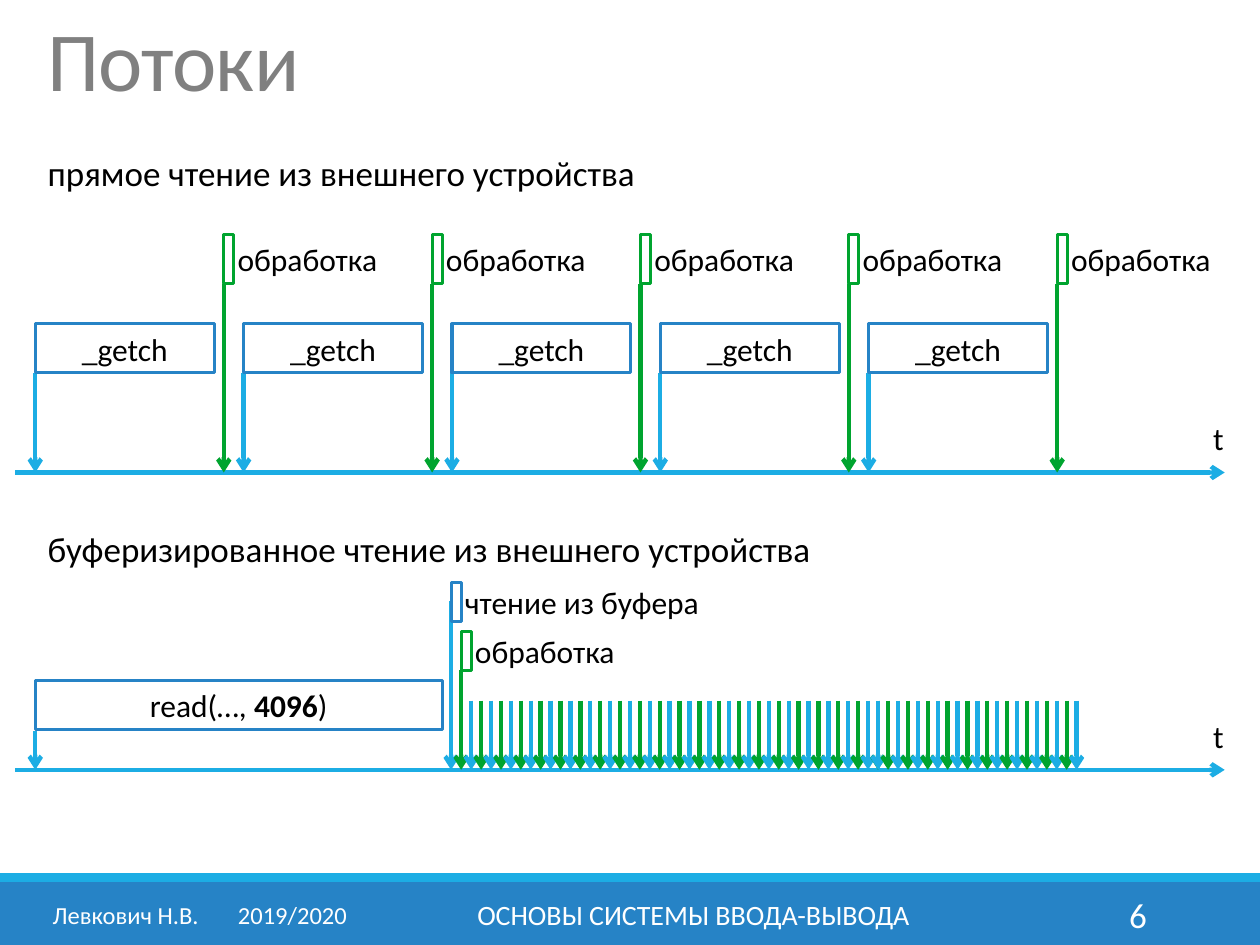
from lxml.etree import SubElement
from pptx import Presentation
from pptx.dml.color import RGBColor
from pptx.enum.shapes import MSO_CONNECTOR, MSO_SHAPE
from pptx.enum.text import MSO_ANCHOR, PP_ALIGN
from pptx.oxml.ns import qn
from pptx.util import Inches, Pt

BLACK = RGBColor(0x00, 0x00, 0x00)
WHITE = RGBColor(0xFF, 0xFF, 0xFF)
GRAY = RGBColor(0x80, 0x80, 0x80)
BLUE = RGBColor(0x26, 0x83, 0xC6)
CYAN = RGBColor(0x1C, 0xAD, 0xE4)
GREEN = RGBColor(0x00, 0xA4, 0x2F)

TICK = 2 / 25.4
CYCLE = 21 * TICK
START = 0.28
DIRECT_AXIS = 3.75
BUFFER_AXIS = 6.11


def set_font(p, size, color=BLACK):
    p.font.name = "Calibri"
    p.font.size = Pt(size)
    p.font.color.rgb = color


def add_text(slide, text, x, y, w, h, size, color=BLACK,
             align=PP_ALIGN.LEFT, anchor=MSO_ANCHOR.TOP):
    tf = slide.shapes.add_textbox(Inches(x), Inches(y), Inches(w), Inches(h)).text_frame
    tf.word_wrap = True
    tf.vertical_anchor = anchor
    p = tf.paragraphs[0]
    p.alignment = align
    p.add_run().text = text
    set_font(p, size, color)
    return p


def add_box(slide, x, y, w, h, line=None, fill=None):
    sp = slide.shapes.add_shape(
        MSO_SHAPE.RECTANGLE, Inches(x), Inches(y), Inches(w), Inches(h))
    sp.shadow.inherit = False
    if fill is None:
        sp.fill.background()
    else:
        sp.fill.solid()
        sp.fill.fore_color.rgb = fill
    if line is None:
        sp.line.fill.background()
    else:
        sp.line.color.rgb = line
        sp.line.width = Pt(1.75)
    return sp


def add_call(slide, x, y, w, *parts):
    tf = add_box(slide, x, y, w, 0.39, BLUE).text_frame
    tf.word_wrap = True
    tf.vertical_anchor = MSO_ANCHOR.MIDDLE
    p = tf.paragraphs[0]
    p.alignment = PP_ALIGN.CENTER
    set_font(p, 18)
    for text, bold in parts:
        r = p.add_run()
        r.text = text
        r.font.bold = bold


def add_marker(slide, text, x, y, h, color, fill=None):
    tf = add_box(slide, x, y, 0.08, h, color, fill).text_frame
    tf.word_wrap = False
    tf.vertical_anchor = MSO_ANCHOR.MIDDLE
    tf.margin_left = tf.margin_right = tf.margin_top = tf.margin_bottom = 0
    p = tf.paragraphs[0]
    p.text = text
    p.alignment = PP_ALIGN.LEFT
    p._p.get_or_add_pPr().set("marL", str(Inches(0.11)))
    set_font(p, 18)


def add_arrow(slide, x1, y1, x2, y2, color):
    line = slide.shapes.add_connector(
        MSO_CONNECTOR.STRAIGHT, Inches(x1), Inches(y1), Inches(x2), Inches(y2))
    line.line.color.rgb = color
    line.line.width = Pt(2.5)
    SubElement(line.line._get_or_add_ln(), qn("a:tailEnd"), type="arrow")
    SubElement(line._element.spPr, qn("a:effectLst"))


def add_axis(slide, y):
    add_arrow(slide, 0.12, y, 9.72, y, CYAN)
    add_text(slide, "t", 9.53, y - 0.47, 0.47, 0.4, 18)


def add_direct_reading(slide):
    add_text(slide, "прямое чтение из внешнего устройства", 0.28, 1.15, 7.17, 0.44, 20)
    add_axis(slide, DIRECT_AXIS)
    for i in range(5):
        x = START + i * CYCLE
        add_arrow(slide, x, 2.96, x, DIRECT_AXIS, CYAN)
        add_call(slide, x, 2.57, 1.42, ("_getch", None))
        x += 19 * TICK
        add_arrow(slide, x, 2.25, x, DIRECT_AXIS, GREEN)
        add_marker(slide, "обработка", x, 1.86, 0.39, GREEN)


def add_buffered_reading(slide):
    add_arrow(slide, 3.58, 4.77, 3.58, BUFFER_AXIS, CYAN)
    add_text(slide, "буферизированное чтение из внешнего устройства",
             0.28, 4.14, 7.17, 0.44, 20)
    add_axis(slide, BUFFER_AXIS)
    add_arrow(slide, START, 5.8, START, BUFFER_AXIS, CYAN)
    add_call(slide, START, 5.4, 3.23, ("read(…, ", None), ("4096", True), (")", None))
    add_marker(slide, "чтение из буфера", 3.58, 4.62, 0.31, BLUE, WHITE)
    add_arrow(slide, 3.66, 5.32, 3.66, BUFFER_AXIS, GREEN)
    add_marker(slide, "обработка", 3.66, 5.01, 0.31, GREEN, WHITE)
    for first, count in ((3.74, 42), (6.97, 21)):
        for i in range(count):
            x = first + i * TICK
            add_arrow(slide, x, 5.56, x, BUFFER_AXIS, GREEN if i % 2 else CYAN)


def add_title(slide):
    p = add_text(slide, "Потоки", 0.28, 0.13, 9.45, 0.87, 48, GRAY)
    p.line_spacing = 0.85
    p.runs[0].font._element.set("spc", "-50")


def add_footer(slide):
    add_box(slide, 0, 7, 10, 0.5, fill=BLUE)
    add_box(slide, 0, 6.93, 10, 0.07, fill=CYAN)
    middle = MSO_ANCHOR.MIDDLE
    p = add_text(slide, "Левкович Н.В.\t2019/2020", 0.32, 7.06, 2.61, 0.4,
                 14, WHITE, anchor=middle)
    pPr = p._p.get_or_add_pPr()
    tabs = pPr.makeelement(qn("a:tabLst"))
    SubElement(tabs, qn("a:tab"), pos=str(Inches(1.47)), algn="l")
    pPr.insert(0, tabs)
    add_text(slide, "ОСНОВЫ СИСТЕМЫ ВВОДА-ВЫВОДА", 3.02, 7.06, 4.97, 0.4,
             16, WHITE, PP_ALIGN.CENTER, middle)
    add_text(slide, "6", 8.12, 7.06, 1.08, 0.4, 20, WHITE, PP_ALIGN.RIGHT, middle)


def main():
    prs = Presentation()
    prs.slide_width = Inches(10)
    prs.slide_height = Inches(7.5)
    slide = prs.slides.add_slide(prs.slide_layouts[6])
    add_direct_reading(slide)
    add_buffered_reading(slide)
    add_title(slide)
    add_footer(slide)
    prs.save("out.pptx")


main()
